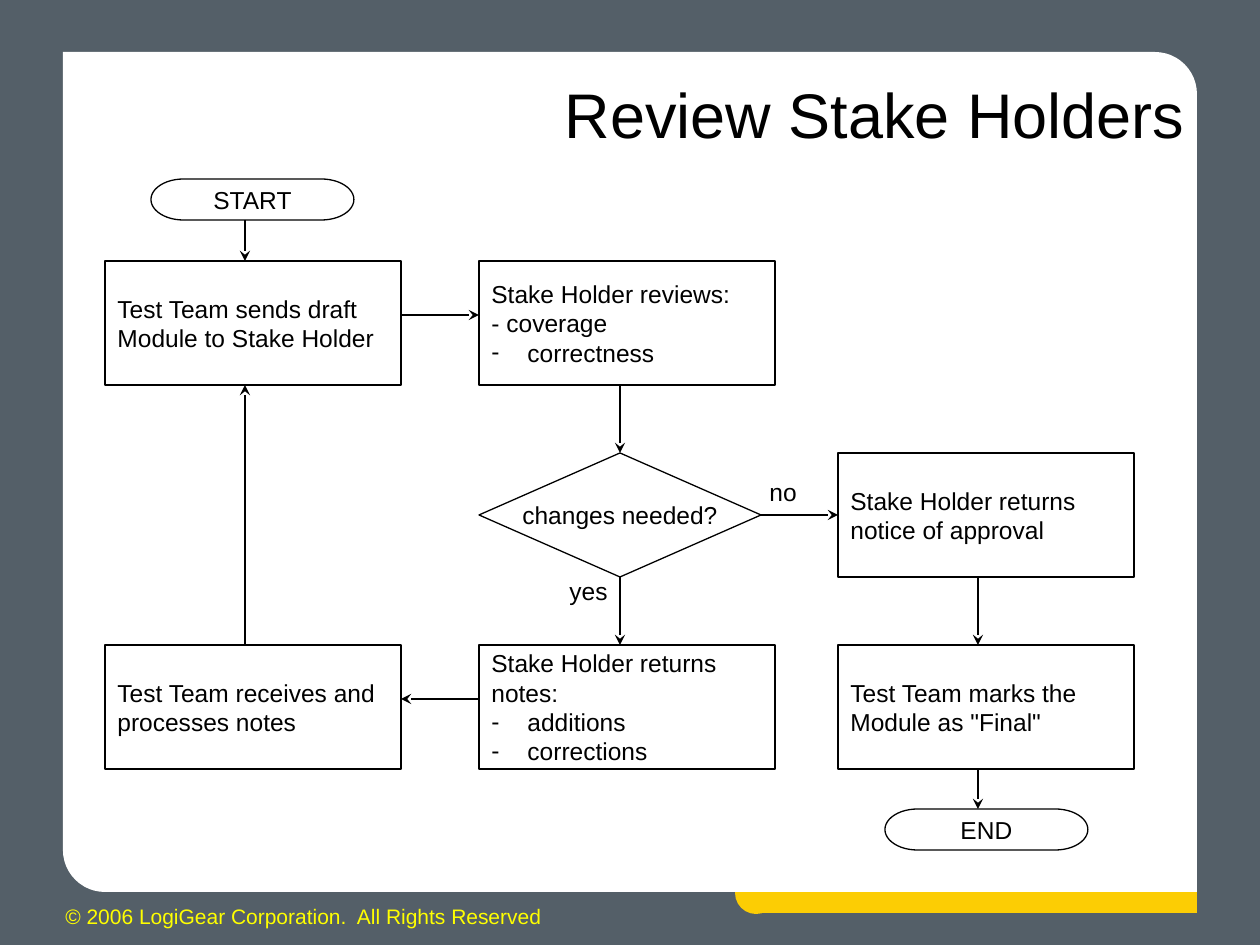
from dataclasses import dataclass
from typing import NamedTuple, Optional

from lxml.etree import SubElement
from pptx import Presentation
from pptx.dml.color import RGBColor
from pptx.enum.shapes import MSO_CONNECTOR, MSO_SHAPE as Geo
from pptx.enum.text import MSO_ANCHOR, MSO_AUTO_SIZE as Auto, PP_ALIGN as Align
from pptx.oxml.ns import qn
from pptx.util import Pt

SCALE = 914400 / 126  # EMU in one px
BOX_W, BOX_H = 296, 124
END_W, END_H = 203, 41
COLS = (105, 479, 838)
ROWS = tuple(261 + 192 * i for i in range(3))
MIDS = (245, 620, 978)  # x of the vertical arrows
TOP, LEFT, BOTTOM, RIGHT = range(4)


@dataclass(frozen=True)
class Theme:
    font: str = "Arial"
    back: RGBColor = RGBColor(0x54, 0x5F, 0x68)
    paper: RGBColor = RGBColor(0xFF, 0xFF, 0xFF)
    ink: RGBColor = RGBColor(0, 0, 0)
    gold: RGBColor = RGBColor(0xFC, 0xCD, 0x04)
    note: RGBColor = RGBColor(0xFF, 0xFF, 0)
    title: int = 36
    body: int = 14
    small: int = 12
    line: float = 0.75


THEME = Theme()


class Node(NamedTuple):
    key: str
    x: int
    y: int
    lines: tuple
    bullets: tuple = ()
    w: int = BOX_W
    h: int = BOX_H
    geo: Geo = Geo.RECTANGLE
    align: Align = Align.LEFT
    wrap: bool = True


class Arrow(NamedTuple):
    x1: int
    y1: int
    x2: int
    y2: int
    tail: Optional[tuple] = None  # node key and side joined at the start
    head: Optional[tuple] = None  # node key and side joined at the end


class Label(NamedTuple):
    x: int
    y: int
    w: int
    h: int
    text: str
    size: int = THEME.body
    color: RGBColor = THEME.ink


NODES = (
    Node("start", 151, 179, ("START",), w=END_W, h=END_H,
         geo=Geo.FLOWCHART_TERMINATOR, align=Align.CENTER),
    Node("send", COLS[0], ROWS[0], ("Test Team sends draft Module to Stake Holder",)),
    Node("review", COLS[1], ROWS[0], ("Stake Holder reviews:", "- coverage"),
         ("correctness",)),
    Node("check", COLS[1], ROWS[1], ("changes needed?",), w=282,
         geo=Geo.FLOWCHART_DECISION, align=Align.CENTER, wrap=False),
    Node("approve", COLS[2], ROWS[1], ("Stake Holder returns notice of approval",)),
    Node("receive", COLS[0], ROWS[2], ("Test Team receives and processes notes",)),
    Node("notes", COLS[1], ROWS[2], ("Stake Holder returns notes:",),
         ("additions", "corrections")),
    Node("mark", COLS[2], ROWS[2], ('Test Team marks the Module as "Final"',)),
    Node("end", 885, 809, ("END",), w=END_W, h=END_H,
         geo=Geo.FLOWCHART_TERMINATOR, align=Align.CENTER),
)

ARROWS = (
    Arrow(MIDS[0], 220, MIDS[0], ROWS[0]),
    Arrow(COLS[0] + BOX_W, 315, COLS[1], 315),
    Arrow(MIDS[1], ROWS[0] + BOX_H, MIDS[1], ROWS[1], head=("check", TOP)),
    Arrow(761, 515, COLS[2], 515, ("check", RIGHT), ("approve", LEFT)),
    Arrow(MIDS[1], ROWS[1] + BOX_H, MIDS[1], ROWS[2], tail=("check", BOTTOM)),
    Arrow(MIDS[2], ROWS[1] + BOX_H, MIDS[2], ROWS[2]),
    Arrow(COLS[1], 699, COLS[0] + BOX_W, 699),
    Arrow(MIDS[0], ROWS[2], MIDS[0], ROWS[0] + BOX_H),
    Arrow(MIDS[2], ROWS[2] + BOX_H, MIDS[2], 809),
)

LABELS = (
    Label(757, 471, 55, 43, "no"),
    Label(557, 570, 65, 43, "yes"),
    Label(53, 897, 503, 38, "© 2006 LogiGear Corporation.  All Rights Reserved",
          THEME.small, THEME.note),
)


def emu(*px: int) -> list:
    return [round(p * SCALE) for p in px]


def style(frame, size: int, color: RGBColor, align: Align = Align.LEFT) -> None:
    for para in frame.paragraphs:
        para.alignment = align
        for run in para.runs:
            run.font.name = THEME.font
            run.font.size = Pt(size)
            run.font.color.rgb = color


def dash(para) -> None:
    """Give the paragraph a hanging dash as its bullet."""
    props = para._p.get_or_add_pPr()
    gap = emu(36)[0]
    props.set("marL", str(gap))
    props.set("indent", str(-gap))
    SubElement(props, qn("a:buFont"), typeface=THEME.font)
    SubElement(props, qn("a:buChar"), char="-")


def block(slide, geo: Geo, x: int, y: int, w: int, h: int, fill: RGBColor):
    """Add a filled shape without line or shadow."""
    shape = slide.shapes.add_shape(geo, *emu(x, y, w, h))
    shape.shadow.inherit = False
    shape.fill.solid()
    shape.fill.fore_color.rgb = fill
    shape.line.fill.background()
    return shape


def draw_node(slide, node: Node):
    shape = block(slide, node.geo, node.x, node.y, node.w, node.h, THEME.paper)
    shape.line.color.rgb = THEME.ink
    shape.line.width = Pt(THEME.line)
    frame = shape.text_frame
    frame.word_wrap = node.wrap
    frame.vertical_anchor = MSO_ANCHOR.MIDDLE
    frame.text = "\n".join(node.lines + node.bullets)
    for para in frame.paragraphs[len(node.lines):]:
        dash(para)
    style(frame, THEME.body, THEME.ink, node.align)
    return shape


def draw_arrow(slide, arrow: Arrow, nodes: dict) -> None:
    ends = emu(arrow.x1, arrow.y1, arrow.x2, arrow.y2)
    line = slide.shapes.add_connector(MSO_CONNECTOR.STRAIGHT, *ends)
    if arrow.tail:
        line.begin_connect(nodes[arrow.tail[0]], arrow.tail[1])
    if arrow.head:
        line.end_connect(nodes[arrow.head[0]], arrow.head[1])
    line.line.color.rgb = THEME.ink
    line.line.width = Pt(THEME.line)
    SubElement(line.line._get_or_add_ln(), qn("a:tailEnd"), type="stealth")
    SubElement(line._element.spPr, qn("a:effectLst"))


def draw_label(slide, label: Label) -> None:
    box = slide.shapes.add_textbox(*emu(label.x, label.y, label.w, label.h))
    frame = box.text_frame
    frame.word_wrap = False
    frame.auto_size = Auto.SHAPE_TO_FIT_TEXT
    frame.text = label.text
    style(frame, label.size, label.color)


def draw_back(slide) -> None:
    fill = slide.background.fill
    fill.solid()
    fill.fore_color.rgb = THEME.back
    block(slide, Geo.OVAL, 735, 872, 42, 42, THEME.gold)
    panel = block(slide, Geo.ROUND_2_DIAG_RECTANGLE, 63, 52, 1134, 840, THEME.paper)
    panel.adjustments[0] = 0
    panel.adjustments[1] = 0.05
    block(slide, Geo.RECTANGLE, 756, 892, 441, 21, THEME.gold)


def draw_title(slide, text: str) -> None:
    title = slide.shapes.title
    title.left, title.top, title.width, title.height = emu(325, 47, 872, 132)
    frame = title.text_frame
    frame.text = text
    frame.auto_size = Auto.NONE
    frame.vertical_anchor = MSO_ANCHOR.MIDDLE
    style(frame, THEME.title, THEME.ink, Align.RIGHT)
    slide.shapes._spTree.append(title._element)  # above the panel


def main() -> None:
    deck = Presentation()
    deck.slide_width, deck.slide_height = emu(1260, 945)
    slide = deck.slides.add_slide(deck.slide_layouts[5])
    draw_back(slide)
    draw_title(slide, "Review Stake Holders")
    nodes = {node.key: draw_node(slide, node) for node in NODES}
    for arrow in ARROWS:
        draw_arrow(slide, arrow, nodes)
    for label in LABELS:
        draw_label(slide, label)
    deck.save("out.pptx")


if __name__ == "__main__":
    main()
